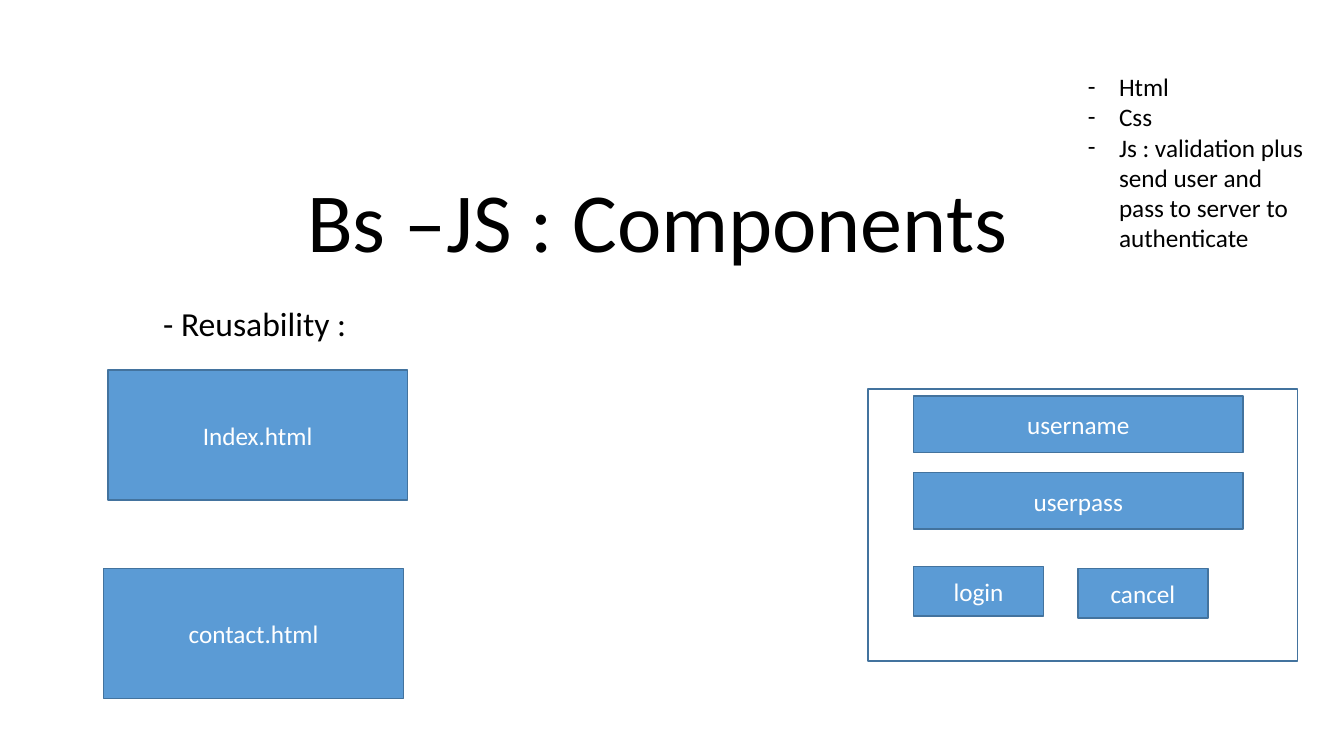
from lxml.etree import SubElement
from pptx import Presentation
from pptx.dml.color import RGBColor
from pptx.enum.shapes import MSO_SHAPE
from pptx.enum.text import MSO_ANCHOR, PP_ALIGN
from pptx.oxml.ns import qn
from pptx.util import Inches, Pt


def color(text):
    """Turn a hex string into a colour."""
    return RGBColor.from_string(text)


def apply(item, style):
    """Set each named value on the item."""
    for name, value in style.items():
        setattr(item, name, value)


class Page:
    """Hold the style and the current slide."""

    font = "Calibri"
    ink, blue, edge, white = "000000", "5B9BD5", "43739E", "FFFFFF"

    def __init__(self, deck):
        """Add a blank slide with a plain ground."""
        self.slide = deck.slides.add_slide(deck.slide_layouts[6])
        back = self.slide.background.fill
        back.solid()
        back.fore_color.rgb = color(self.white)

    def fill(self, frame, lines, size, tint, form):
        """Fill a frame with one paragraph per line."""
        frame.word_wrap = True
        frame.text = "\n".join(lines)
        for para in frame.paragraphs:
            apply(para, form)
            apply(para.font, {"name": self.font, "size": Pt(size)})
            para.font.color.rgb = color(tint)

    def text(self, area, lines, size, form, anchor=MSO_ANCHOR.TOP):
        """Add a text box and return its frame."""
        frame = self.slide.shapes.add_textbox(*map(Inches, area)).text_frame
        self.fill(frame, lines, size, self.ink, form)
        frame.vertical_anchor = anchor
        return frame

    def list(self, area, lines, size):
        """Add a text box with dash bullets."""
        frame = self.text(area, lines, size, {})
        for para in frame.paragraphs:
            props = para._p.get_or_add_pPr()
            props.set("marL", str(Inches(0.31)))
            props.set("indent", str(Inches(-0.31)))
            SubElement(props, qn("a:buFont")).set("typeface", self.font)
            SubElement(props, qn("a:buChar")).set("char", "-")

    def box(self, area, label=None):
        """Add a filled box with a label, or an empty outline."""
        shape = self.slide.shapes.add_shape(
            MSO_SHAPE.RECTANGLE, *map(Inches, area))
        shape.shadow.inherit = False
        shape.line.color.rgb = color(self.edge)
        shape.line.width = Pt(1)
        if label is None:
            shape.fill.background()
            return
        shape.fill.solid()
        shape.fill.fore_color.rgb = color(self.blue)
        shape.text_frame.vertical_anchor = MSO_ANCHOR.MIDDLE
        self.fill(shape.text_frame, [label], 18, self.white,
                  {"alignment": PP_ALIGN.CENTER})


deck = Presentation()
apply(deck, {"slide_width": Inches(13.33), "slide_height": Inches(7.5)})
page = Page(deck)

page.text((1.52, 0.91, 10, 1.82), ["Bs –JS : Components"], 60,
          {"alignment": PP_ALIGN.CENTER, "line_spacing": 0.9},
          MSO_ANCHOR.BOTTOM)
page.text((1.52, 3, 10, 0.68), ["- Reusability :"], 24,
          {"line_spacing": 0.9, "space_before": Pt(10)})

page.box((8.61, 3.86, 4.26, 2.7))
groups = (
    ((3.27, 0.56), (("username", 9.06, 3.93), ("userpass", 9.06, 4.69))),
    ((1.29, 0.49), (("login", 9.06, 5.62), ("cancel", 10.69, 5.64))),
    ((2.97, 1.29), (("Index.html", 1.07, 3.67), ("contact.html", 1.03, 5.64))),
)
for size, items in groups:
    for label, left, top in items:
        page.box((left, top, *size), label)

page.list((10.69, 0.66, 2.39, 1.92),
          ["Html", "Css",
           "Js : validation plus send user and pass to server to authenticate"],
          18)

deck.save("out.pptx")
